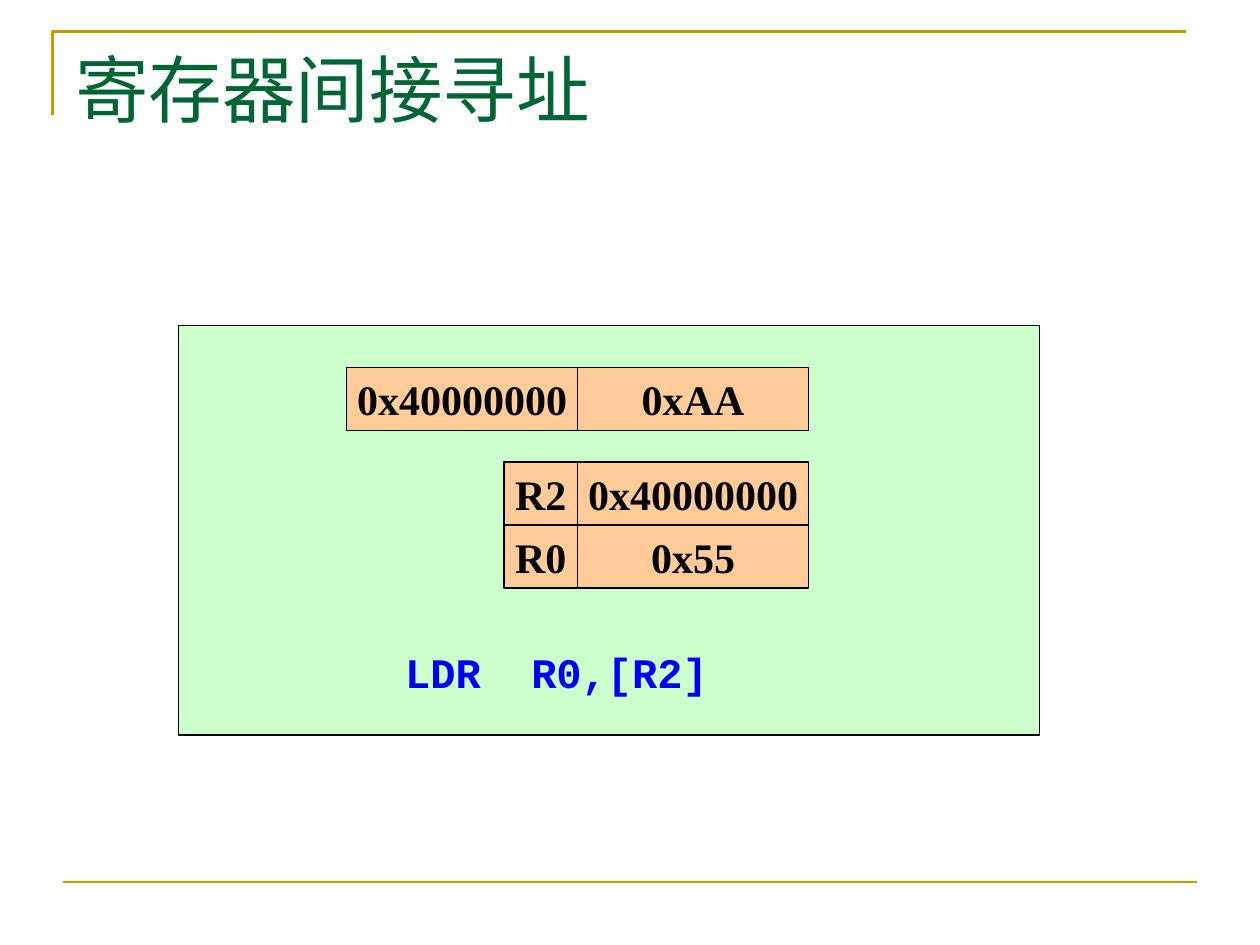
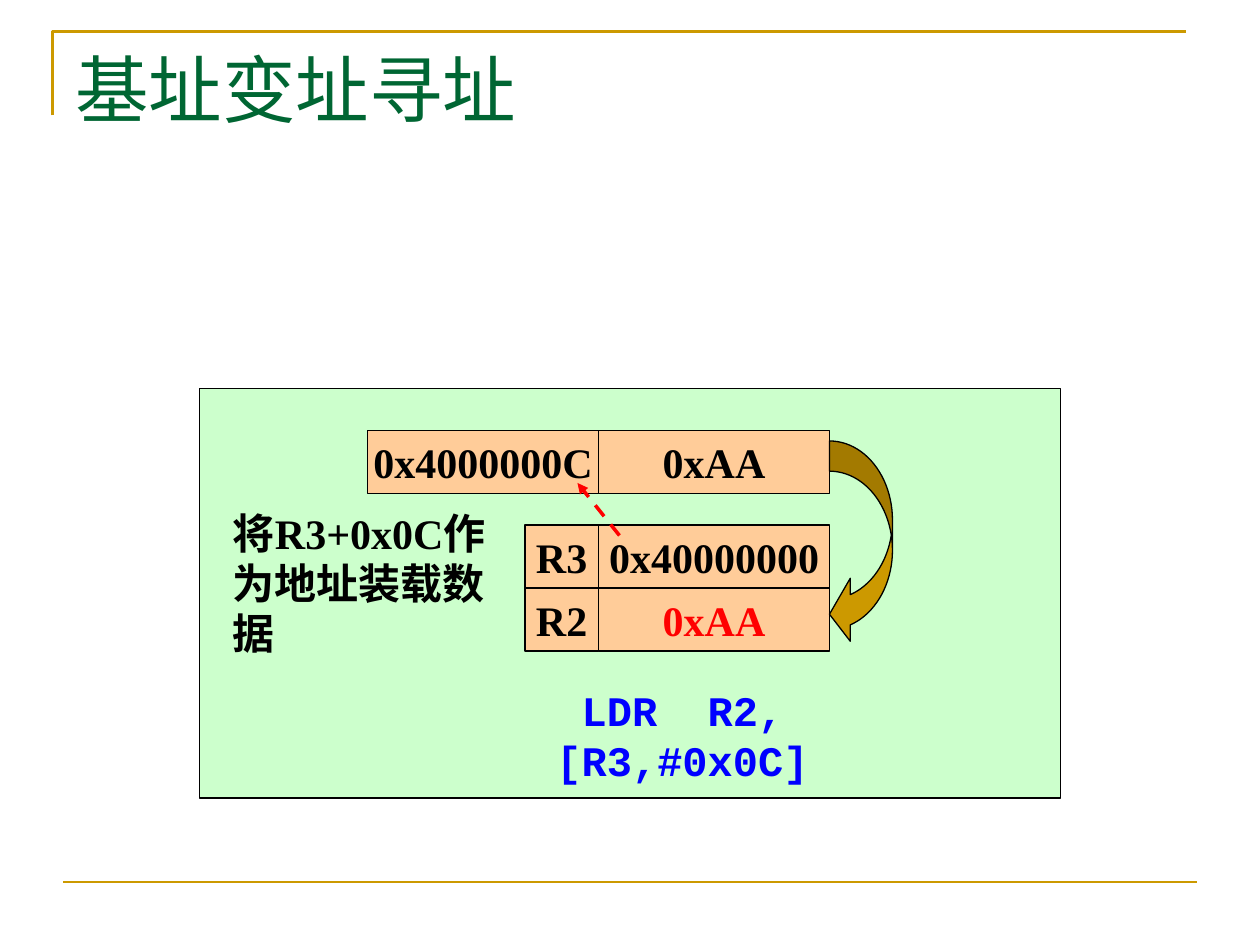
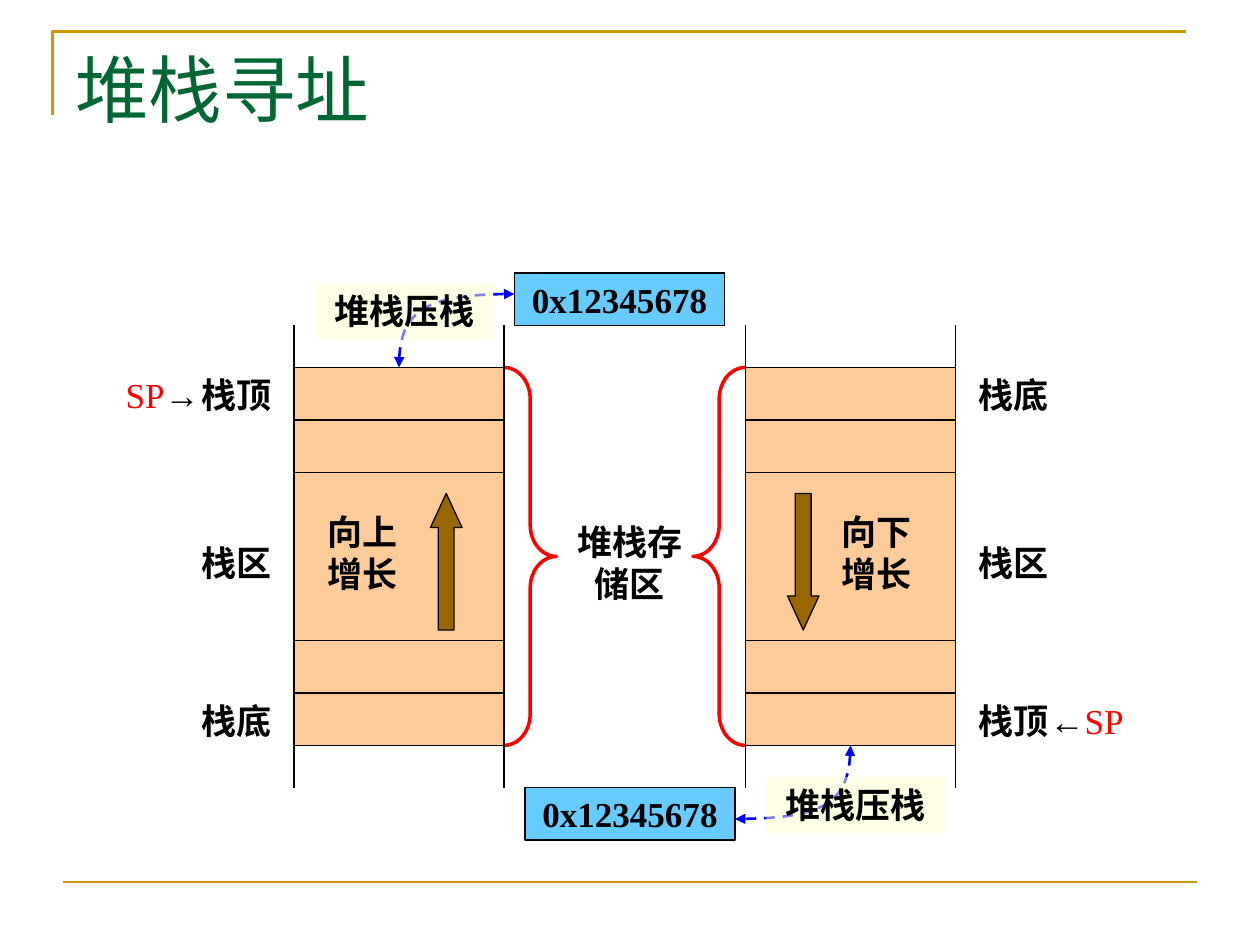
import pptx
import pptx.util
import pptx.dml.color
import pptx.enum.dml
import pptx.enum.shapes
import pptx.enum.text
import pptx.oxml.ns
from lxml import etree

HUES = {
    "gold": "CC9900", "title": "006633", "panel": "CCFFCC", "cell": "FFCC99",
    "black": "000000", "red": "FF0000", "blue": "0000FF", "sky": "66CCFF",
    "brown": "996600", "cream": "FFFFCC",
}
SERIF, MONO, SANS = "Times New Roman", "Courier New", "Arial"
KIND = pptx.enum.shapes.MSO_SHAPE
MID = pptx.enum.text.MSO_ANCHOR.MIDDLE
TOP = pptx.enum.text.MSO_ANCHOR.TOP
ALIGN = pptx.enum.text.PP_ALIGN

LOADS = [
    {"title": "寄存器间接寻址", "at": (17, 31), "cell": ("0x40000000", "0xAA"),
     "regs": [("R2", "0x40000000", "black"), ("R0", "0x55", "black")],
     "code": "LDR  R0,[R2]", "shift": 15},
    {"title": "基址变址寻址", "at": (19, 37), "cell": ("0x4000000C", "0xAA"),
     "regs": [("R3", "0x40000000", "black"), ("R2", "0xAA", "red")],
     "code": "LDR  R2,[R3,#0x0C]", "shift": 25,
     "note": "将R3+0x0C作为地址装载数据"},
]
ROWS = (5, 5, 16, 5, 5)
MARKS = (35, 51, 66)
SP = ("SP", "red", SERIF, False)
STACKS = [
    {"left": 28, "marks": ("栈顶", "栈区", "栈底"), "side": 17,
     "sp": (10, 35), "runs": [SP, ("→", "black", SANS, True)],
     "grow": "向上增长", "text": 29, "arrow": (41, KIND.UP_ARROW),
     "brace": (48, KIND.RIGHT_BRACE), "value": (49, 26), "push": (30, 27),
     "curve": ((38, 35), (49, 28))},
    {"left": 71, "marks": ("栈底", "栈区", "栈顶"), "side": 91,
     "sp": (98, 66), "runs": [("←", "black", SANS, True), SP],
     "grow": "向下增长", "text": 78, "arrow": (75, KIND.DOWN_ARROW),
     "brace": (66, KIND.LEFT_BRACE), "value": (50, 75), "push": (73, 74),
     "curve": ((81, 71), (70, 78))},
]


def cm(n):
    return pptx.util.Cm(n * 2.54 / 12)


def hue(name):
    return pptx.dml.color.RGBColor.from_string(HUES[name])


def sub(node, tag, **attrs):
    return etree.SubElement(node, pptx.oxml.ns.qn(tag), attrs)


def stroke(item, color, width, dash=False, ends=()):
    item.line.color.rgb = hue(color)
    item.line.width = pptx.util.Pt(width)
    if dash:
        item.line.dash_style = pptx.enum.dml.MSO_LINE.DASH
    for end in ends:
        sub(item.line._get_or_add_ln(), "a:" + end, type="triangle")


def style(font, color, size, face, bold):
    font.size, font.name, font.bold = pptx.util.Pt(size), face, bold
    font.color.rgb = hue(color)


def write(shape, text, size=24, color="black", face=SERIF, bold=True,
          align=ALIGN.CENTER, anchor=MID, wrap=False):
    frame = shape.text_frame
    frame.word_wrap, frame.vertical_anchor = wrap, anchor
    para = frame.paragraphs[0]
    para.alignment = align
    if isinstance(text, str):
        para.add_run().text = text
        style(para.font, color, size, face, bold)
    else:
        for word, tint, kind, heavy in text:
            run = para.add_run()
            run.text = word
            style(run.font, tint, size, kind, heavy)


def shape(slide, box, fill=None, kind=KIND.RECTANGLE, line="black", width=0.75, adj=()):
    item = slide.shapes.add_shape(kind, *map(cm, box))
    item.shadow.inherit = False
    if fill:
        item.fill.solid()
        item.fill.fore_color.rgb = hue(fill)
    else:
        item.fill.background()
    if line:
        stroke(item, line, width)
    else:
        item.line.fill.background()
    for i, value in enumerate(adj):
        item.adjustments[i] = value
    return item


def cell(slide, box, text, fill="cell", **look):
    write(shape(slide, box, fill), text, **look)


def label(slide, box, text, **look):
    write(slide.shapes.add_textbox(*map(cm, box)), text, **look)


def tag(slide, box, text):
    label(slide, box, text, size=20, anchor=TOP, wrap=True)


def line(slide, start, end, color, width, **look):
    item = slide.shapes.add_connector(
        pptx.enum.shapes.MSO_CONNECTOR.STRAIGHT, *map(cm, start + end))
    stroke(item, color, width, **look)
    sub(item._element.spPr, "a:effectLst")


def trace(slide, points, color, width, **look):
    spots = [(cm(x), cm(y)) for x, y in points]
    path = slide.shapes.build_freeform(*spots[0])
    path.add_line_segments(spots[1:], close=False)
    item = path.convert_to_shape()
    item.shadow.inherit = False
    item.fill.background()
    stroke(item, color, width, **look)


def bend(start, end, pull=0.78, steps=20):
    (x, y), (right, low) = start, end
    for i in range(steps + 1):
        t = i / steps
        a, b, c = 3 * t * (1 - t) ** 2, 3 * t * t * (1 - t), t ** 3
        yield (x + (right - x) * (b * (1 - pull) + c),
               y + (low - y) * (a * pull + b + c))


def page(deck, title):
    slide = deck.slides.add_slide(deck.slide_layouts[6])
    trace(slide, [(5, 11), (5, 3), (113, 3)], "gold", 1.5)
    line(slide, (6, 84), (114, 84), "gold", 1.5)
    label(slide, (6, 3.6, 108, 15), title, size=42, color="title", bold=False,
          align=ALIGN.LEFT, anchor=TOP, wrap=True)
    return slide


def load(deck, data):
    slide = page(deck, data["title"])
    x, y = data["at"]
    shape(slide, (x, y, 82, 39), "panel")
    for i, text in enumerate(data["cell"]):
        cell(slide, (x + 16 + 22 * i, y + 4, 22, 6), text)
    for i, (name, value, color) in enumerate(data["regs"]):
        top = y + 13 + 6 * i
        cell(slide, (x + 31, top, 7, 6), name)
        cell(slide, (x + 38, top, 22, 6), value, color=color)
    label(slide, (x + data["shift"], y + 30, 42, 6), data["code"],
          color="blue", face=MONO)
    if "note" in data:
        line(slide, (x + 40, y + 14), (x + 36, y + 9), "red", 2,
             dash=True, ends=["tailEnd"])
        shape(slide, (x + 60, y + 5, 6, 19.5), "gold", KIND.CURVED_LEFT_ARROW,
              adj=(0.48, 1, 0.33))
        label(slide, (x + 2, y + 13, 28, 11), data["note"],
              align=ALIGN.LEFT, wrap=True)


def stack(slide, data):
    left = data["left"]
    for top, text in zip(MARKS, data["marks"]):
        tag(slide, (data["side"], top, 11, 5.3), text)
    tag(slide, data["sp"] + (11, 5.3), data["runs"])
    x, kind = data["brace"]
    shape(slide, (x, MARKS[0], 5, sum(ROWS)), None, kind, "red", 2, (0.6, 0.5))
    for i, tall in enumerate(ROWS):
        shape(slide, (left, MARKS[0] + sum(ROWS[:i]), 20, tall), "cell")
    for x in (left, left + 20):
        line(slide, (x, 75), (x, 31), "black", 0.75)
    x, kind = data["arrow"]
    shape(slide, (x, 47, 3, 13), "brown", kind, adj=(0.5, 1.08))
    tag(slide, (data["text"], 48, 11, 9.2), data["grow"])
    cell(slide, data["value"] + (20, 5), "0x12345678", "sky", size=20)
    trace(slide, bend(*data["curve"]), "blue", 1.5, dash=True,
          ends=["headEnd", "tailEnd"])
    push = shape(slide, data["push"] + (17, 5.3), "cream", line=None)
    tint = push._element.spPr.find(".//" + pptx.oxml.ns.qn("a:srgbClr"))
    sub(tint, "a:alpha", val="50000")
    write(push, "堆栈压栈", size=20, anchor=TOP, wrap=True)


def main():
    deck = pptx.Presentation()
    deck.slide_width, deck.slide_height = cm(120), cm(90)
    for data in LOADS:
        load(deck, data)
    slide = page(deck, "堆栈寻址")
    tag(slide, (53, 49, 14, 9.2), "堆栈存储区")
    for data in STACKS:
        stack(slide, data)
    deck.save("out.pptx")


if __name__ == "__main__":
    main()
